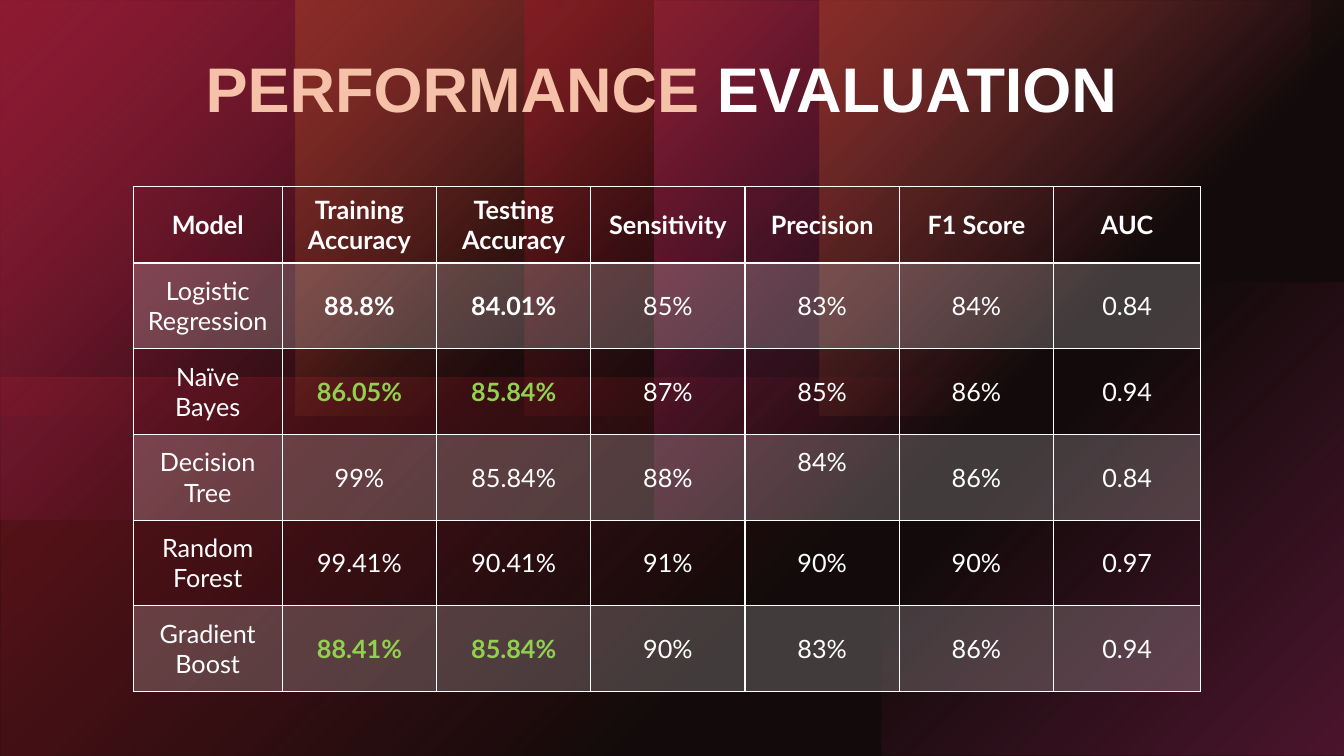
from lxml.etree import SubElement
from pptx import Presentation
from pptx.dml.color import RGBColor
from pptx.enum.shapes import MSO_SHAPE
from pptx.enum.text import MSO_ANCHOR, PP_ALIGN
from pptx.oxml import parse_xml
from pptx.oxml.ns import nsdecls, qn
from pptx.util import Inches, Pt

WHITE, GREEN, PEACH = "FFFFFF", "92D050", "F5C1A9"
RED, PINK, ORANGE = "D5172B", "E7298B", "E76529"


def paint(fill, color, opacity=100):
    """Fill with a solid colour; opacity is in percent."""
    fill.solid()
    fill.fore_color.rgb = RGBColor.from_string(color)
    if opacity < 100:
        element = fill._xPr.find(qn("a:solidFill"))[0]
        SubElement(element, qn("a:alpha"), val=str(opacity * 1000))


def add_panel(left, top, width, height):
    panel = page.shapes.add_shape(
        MSO_SHAPE.RECTANGLE, Inches(left), Inches(top), Inches(width), Inches(height))
    panel.shadow.inherit = False
    panel.line.fill.background()
    return panel


deck = Presentation()
deck.slide_width, deck.slide_height = Inches(13.33), Inches(7.5)
page = deck.slides.add_slide(deck.slide_layouts[5])
paint(page.background.fill, "000000")

# Glowing panels: place, rotation, flip, colour, stops (position, opacity), focus corner
TOP_LEFT, BOTTOM_RIGHT = (0, 0, 100, 100), (100, 100, 0, 0)
FADE, LONG_FADE = [(0, 60), (60, 0)], [(0, 60), (63, 0)]
CORNER_GLOW = [(0, 40), (34, 20), (65, 0)]
panels = [
    ((8.74, 2.8, 4.59, 4.7), 0, None, PINK, CORNER_GLOW, BOTTOM_RIGHT),
    ((4.39, -4.39, 3.75, 12.52), 270, None, RED, FADE, TOP_LEFT),
    ((4.39, -0.64, 3.75, 12.52), 270, "flipH", RED, FADE, TOP_LEFT),
    ((0.67, -0.67, 5.15, 6.5), 90, None, PINK, LONG_FADE, TOP_LEFT),
    ((7.17, -0.67, 5.15, 6.5), 90, "flipV", PINK, LONG_FADE, TOP_LEFT),
    ((8.13, 0, 5.2, 4.12), 0, None, ORANGE, FADE, TOP_LEFT),
    ((2.93, 0, 5.2, 4.12), 0, "flipH", ORANGE, FADE, TOP_LEFT),
    ((5.2, 0, 5.2, 4.12), 0, None, RED, FADE, TOP_LEFT),
    ((0, 0, 5.2, 4.12), 0, "flipH", RED, FADE, TOP_LEFT),
]
for place, rotation, flip, color, stops, focus in panels:
    panel = add_panel(*place)
    panel.rotation = rotation
    panel.fill.background()
    properties = panel._element.spPr
    if flip:
        properties.find(qn("a:xfrm")).set(flip, "1")
    stop_xml = "".join(
        f'<a:gs pos="{position * 1000}"><a:srgbClr val="{color}">'
        f'<a:alpha val="{opacity * 1000}"/></a:srgbClr></a:gs>'
        for position, opacity in stops)
    left, top, right, bottom = (edge * 1000 for edge in focus)
    gradient = parse_xml(
        f'<a:gradFill {nsdecls("a")} rotWithShape="1"><a:gsLst>{stop_xml}</a:gsLst>'
        f'<a:path path="circle"><a:fillToRect l="{left}" t="{top}" r="{right}" b="{bottom}"/>'
        '</a:path></a:gradFill>')
    properties.replace(properties.find(qn("a:noFill")), gradient)

veil = add_panel(0, 0, 13.33, 7.5)
paint(veil.fill, "311C1C", 40)

# Title, brought in front of the panels
title = page.shapes.title
page.shapes._spTree.append(title._element)
title.left, title.top = Inches(1.42), Inches(0.53)
title.width, title.height = Inches(10.28), Inches(1.32)
title.text_frame.vertical_anchor = MSO_ANCHOR.TOP
para = title.text_frame.paragraphs[0]
para.alignment = PP_ALIGN.CENTER
para.line_spacing = 0.9
para.font.size, para.font.name, para.font.bold = Pt(45), "Arial", True
for text, color in [("PERFORMANCE ", PEACH), ("EVALUATION", WHITE)]:
    span = para.add_run()
    span.text = text
    span.font.color.rgb = RGBColor.from_string(color)

# Results table
results = [
    ["Model", "Training Accuracy", "Testing Accuracy", "Sensitivity", "Precision", "F1 Score", "AUC"],
    ["Logistic Regression", "88.8%", "84.01%", "85%", "83%", "84%", "0.84"],
    ["Naïve Bayes", "86.05%", "85.84%", "87%", "85%", "86%", "0.94"],
    ["Decision Tree", "99%", "85.84%", "88%", "84%", "86%", "0.84"],
    ["Random Forest", "99.41%", "90.41%", "91%", "90%", "90%", "0.97"],
    ["Gradient Boost", "88.41%", "85.84%", "90%", "83%", "86%", "0.94"],
]
accuracy_colors = {1: WHITE, 2: GREEN, 5: GREEN}  # rows with bold accuracies
table = page.shapes.add_table(
    6, 7, Inches(1.32), Inches(1.85), Inches(10.6), Inches(5)).table
table.first_row = table.horz_banding = False
for column, width in zip(table.columns, [1.48] + [1.53] * 5 + [1.46]):
    column.width = Inches(width)
for row, height in zip(table.rows, [0.76] + [0.85] * 5):
    row.height = Inches(height)

for row_index, values in enumerate(results):
    for column_index, value in enumerate(values):
        cell = table.cell(row_index, column_index)
        cell.text = value
        cell.vertical_anchor = MSO_ANCHOR.MIDDLE
        if row_index % 2:
            paint(cell.fill, WHITE, 20)
        else:
            cell.fill.background()
        for order, side in enumerate(["lnL", "lnR", "lnT", "lnB"]):
            cell._tc.tcPr.insert(order, parse_xml(
                f'<a:{side} {nsdecls("a")} w="12700"><a:solidFill>'
                f'<a:srgbClr val="{WHITE}"/></a:solidFill></a:{side}>'))
        highlighted = column_index in (1, 2) and row_index in accuracy_colors
        color = accuracy_colors[row_index] if highlighted else WHITE
        para = cell.text_frame.paragraphs[0]
        para.alignment = PP_ALIGN.CENTER
        para.font.size, para.font.name = Pt(18), "Lato"
        para.font.bold = row_index == 0 or highlighted
        para.font.color.rgb = RGBColor.from_string(color)

# The Decision Tree precision sits half a line higher
table.cell(3, 4).margin_bottom = Inches(0.35)

deck.save("out.pptx")
